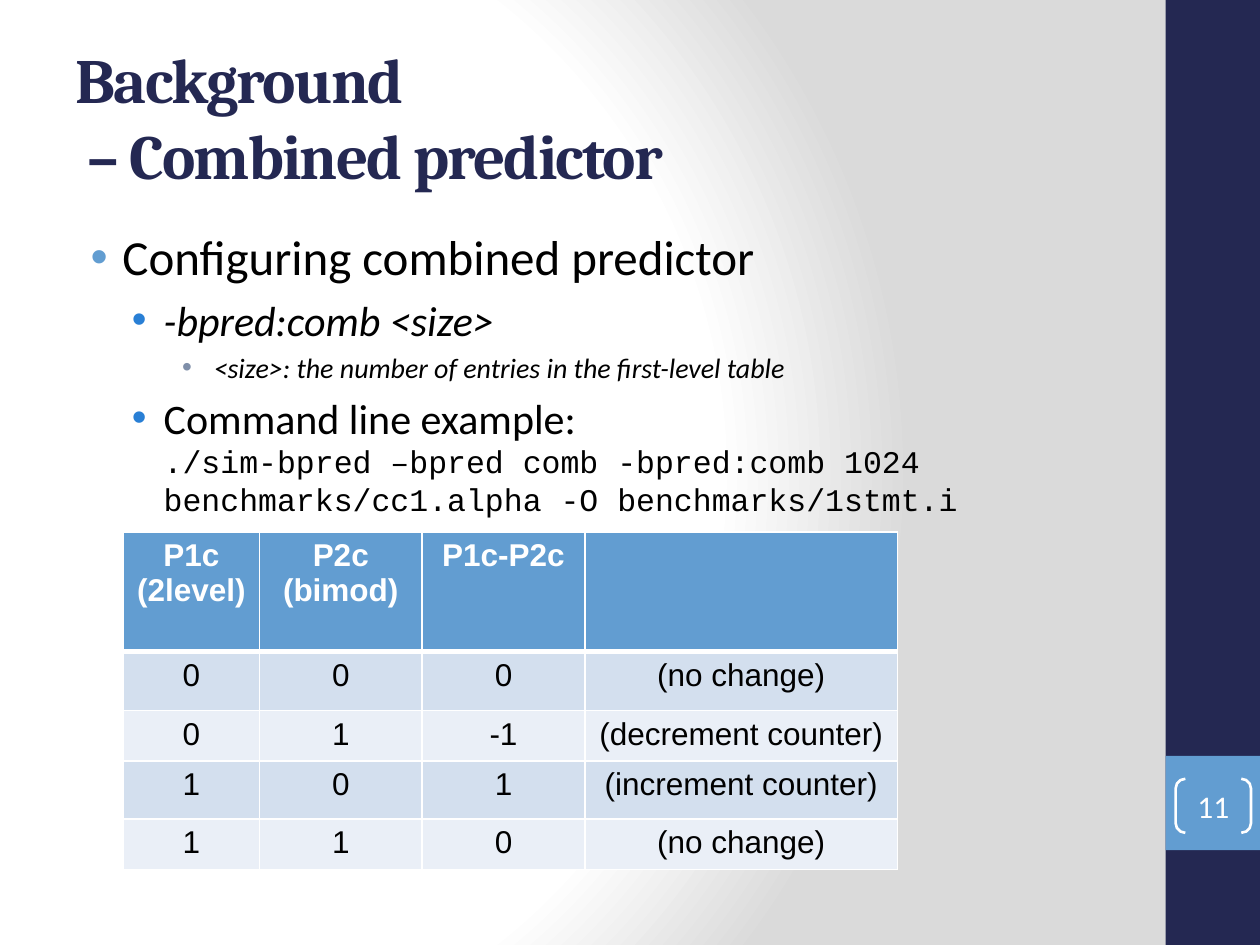
from pptx import Presentation
from pptx.dml.color import RGBColor
from pptx.enum.shapes import MSO_SHAPE
from pptx.enum.text import MSO_ANCHOR, MSO_AUTO_SIZE, PP_ALIGN
from pptx.oxml import parse_xml
from pptx.oxml.ns import nsdecls
from pptx.util import Cm, Pt

COLORS = {
    "navy": "242852", "blue": "629DD1", "bright": "297FD5", "slate": "7F8FA9",
    "white": "FFFFFF", "gray": "DADADA", "black": "000000",
    "band": "D3DFEE", "pale": "EAEFF7",
}
LEVELS = [
    {"indent": 0.95, "bullet": "blue", "size": 28},
    {"indent": 1.78, "bullet": "bright", "size": 24},
    {"indent": 2.79, "bullet": "slate", "size": 16},
]
BODY = [
    (0, False, "Configuring combined predictor"),
    (1, True, "-bpred:comb <size>"),
    (2, True, "<size>: the number of entries in the first-level table"),
    (1, False, "Command line example:\v./sim-bpred –bpred comb -bpred:comb 1024 "
               "benchmarks/cc1.alpha -O benchmarks/1stmt.i"),
]
COLUMNS = [2.74, 3.28, 3.28, 6.3]
ROWS = [
    (2.41, ["P1c\n(2level)", "P2c\v(bimod)", "P1c-P2c", ""]),
    (1.19, ["0", "0", "0", "(no change)"]),
    (0.99, ["0", "1", "-1", "(decrement counter)"]),
    (1.17, ["1", "0", "1", "(increment counter)"]),
    (0.99, ["1", "1", "0", "(no change)"]),
]


def color(name):
    """Return the named colour."""
    return RGBColor.from_string(COLORS[name])


def format_span(span, font, size, shade, bold=False, italic=False):
    """Set the look of one run."""
    span.font.name = font
    span.font.size = Pt(size)
    span.font.bold = bold
    span.font.italic = italic
    span.font.color.rgb = color(shade)


def paint_background(page):
    """Give the page a radial gradient from white to gray."""
    fill = page.background.fill
    fill.solid()
    stops = "".join(
        f'<a:gs pos="{place}"><a:srgbClr val="{COLORS[name]}"/></a:gs>'
        for place, name in [(0, "white"), (75000, "white"), (100000, "gray")])
    gradient = parse_xml(
        f'<a:gradFill {nsdecls("a")} rotWithShape="1"><a:gsLst>{stops}</a:gsLst>'
        '<a:path path="circle"><a:fillToRect l="20000" t="50000" r="100000" b="50000"/>'
        '</a:path></a:gradFill>')
    solid = page.element.find(".//{*}bgPr/{*}solidFill")
    solid.getparent().replace(solid, gradient)


def add_block(page, top, height, shade):
    """Add a plain rectangle in the right-hand band."""
    block = page.shapes.add_shape(
        MSO_SHAPE.RECTANGLE, Cm(23.5), Cm(top), Cm(1.9), Cm(height))
    block.shadow.inherit = False
    block.fill.solid()
    block.fill.fore_color.rgb = color(shade)
    block.line.fill.background()


def add_page_number(page, number):
    """Add the page number between brackets."""
    bracket = page.shapes.add_shape(
        MSO_SHAPE.DOUBLE_BRACKET, Cm(23.7), Cm(15.7), Cm(1.52), Cm(1.09))
    bracket.shadow.inherit = False
    bracket.adjustments[0] = 0.18
    bracket.fill.background()
    bracket.line.color.rgb = color("white")
    bracket.line.width = Pt(1.5)
    frame = bracket.text_frame
    frame.margin_left = frame.margin_right = frame.margin_top = frame.margin_bottom = 0
    frame.vertical_anchor = MSO_ANCHOR.MIDDLE
    frame.text = number
    frame.paragraphs[0].alignment = PP_ALIGN.CENTER
    format_span(frame.paragraphs[0].runs[0], "Calibri", 18, "white")


def set_title(page, text):
    """Place and format the title."""
    title = page.shapes.title
    title.left, title.top, title.width, title.height = Cm(1.27), Cm(0.76), Cm(21.16), Cm(3.18)
    frame = title.text_frame
    frame.word_wrap = True
    frame.auto_size = MSO_AUTO_SIZE.NONE
    frame.vertical_anchor = MSO_ANCHOR.MIDDLE
    frame.text = text
    paragraph = frame.paragraphs[0]
    paragraph.alignment = PP_ALIGN.LEFT
    for span in paragraph.runs:
        format_span(span, "Cambria", 36, "navy", bold=True)
        span.font._element.set("spc", "-100")


def set_bullet(para, indent, shade):
    """Give a paragraph a hanging coloured bullet."""
    properties = para._p.get_or_add_pPr()
    properties.set("marL", str(Cm(indent)))
    properties.set("indent", str(-Cm(0.64)))
    for markup in (
            f'<a:buClr {nsdecls("a")}><a:srgbClr val="{COLORS[shade]}"/></a:buClr>',
            f'<a:buFont {nsdecls("a")} typeface="Arial"/>',
            f'<a:buChar {nsdecls("a")} char="•"/>'):
        properties.append(parse_xml(markup))


def add_body(page):
    """Add the bulleted text."""
    box = page.shapes.add_textbox(Cm(1.27), Cm(4.45), Cm(22.83), Cm(13.54))
    frame = box.text_frame
    frame.word_wrap = True
    for index, (level, italic, text) in enumerate(BODY):
        para = frame.add_paragraph() if index else frame.paragraphs[0]
        style = LEVELS[level]
        para.text = text
        para.level = level
        para.space_before = Pt(style["size"] * 0.2)
        set_bullet(para, style["indent"], style["bullet"])
        heading, *commands = para.runs
        format_span(heading, "Calibri", style["size"], "black", italic=italic)
        for command in commands:
            format_span(command, "Courier New", 18, "black")


def set_borders(cell, bottom):
    """Draw white borders around a cell."""
    properties = cell._tc.get_or_add_tcPr()
    widths = {"lnL": 1, "lnR": 1, "lnT": 1, "lnB": bottom}
    for index, (side, width) in enumerate(widths.items()):
        properties.insert(index, parse_xml(
            f'<a:{side} {nsdecls("a")} w="{Pt(width)}"><a:solidFill>'
            f'<a:srgbClr val="{COLORS["white"]}"/></a:solidFill></a:{side}>'))


def fill_cell(cell, text, row):
    """Write and format one table cell."""
    header = row == 0
    cell.text = text
    cell.fill.solid()
    cell.fill.fore_color.rgb = color("blue" if header else "band" if row % 2 else "pale")
    set_borders(cell, 3 if header else 1)
    for para in cell.text_frame.paragraphs:
        para.alignment = PP_ALIGN.CENTER
        for span in para.runs:
            format_span(span, "Arial", 18, "white" if header else "black", bold=header)


def add_counter_table(page):
    """Add the table of counter updates."""
    height = sum(size for size, _ in ROWS)
    frame = page.shapes.add_table(
        len(ROWS), len(COLUMNS), Cm(2.49), Cm(10.72), Cm(sum(COLUMNS)), Cm(height))
    table = frame.table
    for column, width in zip(table.columns, COLUMNS):
        column.width = Cm(width)
    for row, (size, texts) in enumerate(ROWS):
        table.rows[row].height = Cm(size)
        for column, text in enumerate(texts):
            fill_cell(table.cell(row, column), text, row)


def main():
    """Build the deck."""
    deck = Presentation()
    deck.slide_width, deck.slide_height = Cm(25.4), Cm(19.05)
    page = deck.slides.add_slide(deck.slide_layouts[5])
    paint_background(page)
    add_block(page, 0, 19.05, "navy")
    add_block(page, 15.24, 1.9, "blue")
    set_title(page, "Background\v – Combined predictor")
    add_body(page)
    add_page_number(page, "11")
    add_counter_table(page)
    deck.save("out.pptx")


main()
